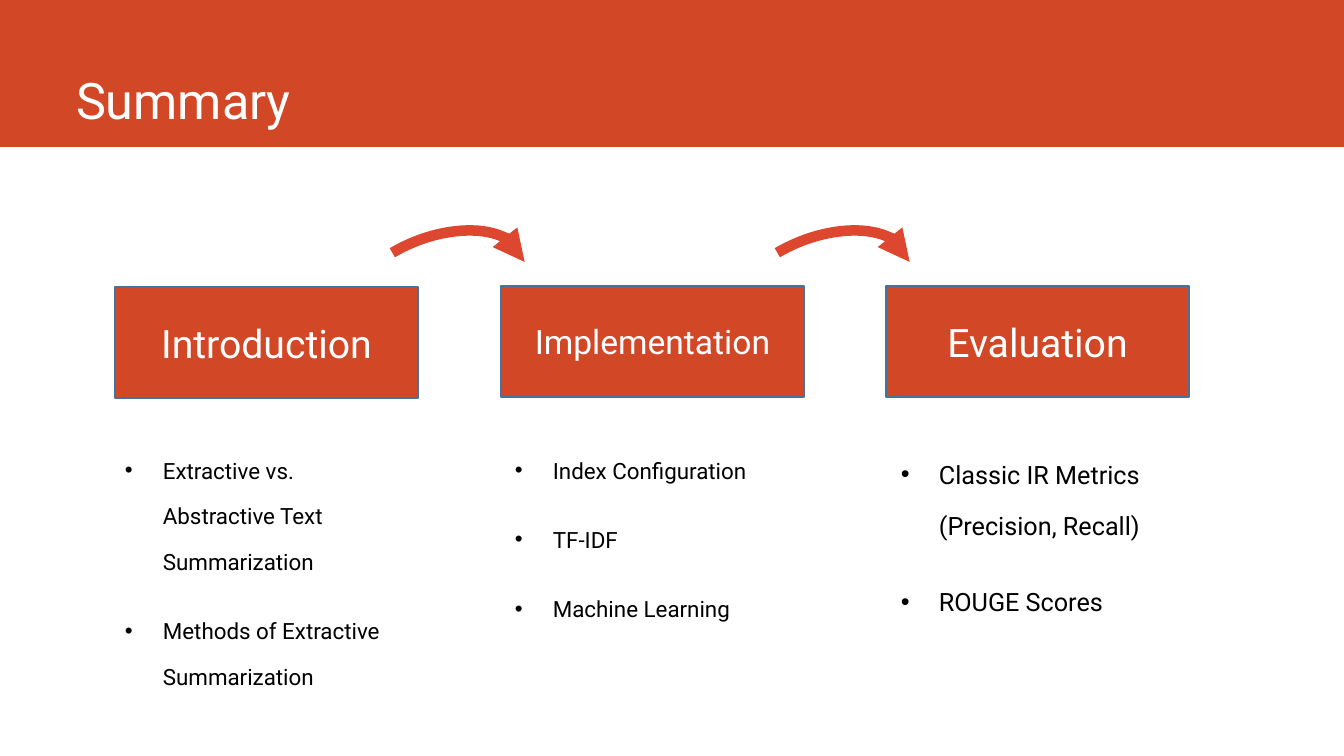
from dataclasses import dataclass

from lxml import etree
from pptx import Presentation
from pptx import util as u
from pptx.dml.color import RGBColor
from pptx.enum import shapes, text
from pptx.oxml.ns import qn

SCALE = u.Inches(1) / 100.8


@dataclass(frozen=True)
class Theme:
    font: str = "Roboto"
    red: str = "D24726"
    arrow: str = "DD462F"
    outline: str = "43739E"
    light: str = "FFFFFF"
    dark: str = "000000"
    title: int = 36
    step: int = 28
    step_small: int = 24
    bullet: int = 16
    bullet_large: int = 18


THEME = Theme()

STEPS = [
    (115, 115, 287, THEME.step, "Introduction", THEME.bullet,
     ["Extractive vs. Abstractive Text Summarization",
      "Methods of Extractive Summarization"]),
    (501, 505, 286, THEME.step_small, "Implementation", THEME.bullet,
     ["Index Configuration", "TF-IDF", "Machine Learning"]),
    (886, 891, 286, THEME.step, "Evaluation", THEME.bullet_large,
     ["Classic IR Metrics (Precision, Recall)", "ROUGE Scores"]),
]
ARROW_LEFTS = [339, 724]


def px(*values):
    return [u.Emu(round(value * SCALE)) for value in values]


def colour(value):
    return RGBColor.from_string(value)


def add_run(paragraph, content, size, value):
    run = paragraph.add_run()
    run.text = content
    run.font.name = THEME.font
    run.font.size = u.Pt(size)
    run.font.color.rgb = colour(value)


def add_box(slide, *box, outline=None):
    shape = slide.shapes.add_shape(shapes.MSO_SHAPE.RECTANGLE, *px(*box))
    shape.shadow.inherit = False
    shape.fill.solid()
    shape.fill.fore_color.rgb = colour(THEME.red)
    if outline:
        shape.line.color.rgb = colour(outline)
        shape.line.width = u.Pt(1)
    else:
        shape.line.fill.background()
    return shape


def add_header(slide, content):
    band = add_box(slide, 0, 0, 1344, 147)
    slide.shapes._spTree.insert(2, band._element)
    title = slide.shapes.title
    title.left, title.top, title.width, title.height = px(66, 0, 1185, 135)
    frame = title.text_frame
    frame.word_wrap = True
    frame.auto_size = text.MSO_AUTO_SIZE.NONE
    frame.vertical_anchor = text.MSO_ANCHOR.BOTTOM
    paragraph = frame.paragraphs[0]
    paragraph.alignment = text.PP_ALIGN.LEFT
    paragraph.line_spacing = 0.9
    add_run(paragraph, content, THEME.title, THEME.light)


def add_step(slide, left, top, label, size):
    shape = add_box(slide, left, top, 303, 111, outline=THEME.outline)
    frame = shape.text_frame
    frame.word_wrap = True
    frame.vertical_anchor = text.MSO_ANCHOR.MIDDLE
    paragraph = frame.paragraphs[0]
    paragraph.alignment = text.PP_ALIGN.CENTER
    add_run(paragraph, label, size, THEME.light)


def add_arrow(slide, left):
    arc = slide.shapes.add_shape(shapes.MSO_SHAPE.ARC, *px(left, 238, 191, 108))
    arc.shadow.inherit = False
    arc.adjustments[0] = 147.04
    arc.adjustments[1] = 2.19
    arc.rotation = 337.9
    arc.fill.background()
    arc.line.color.rgb = colour(THEME.arrow)
    arc.line.width = u.Pt(7.5)
    etree.SubElement(arc.line._get_or_add_ln(), qn("a:tailEnd"), type="triangle")


def add_bullets(slide, left, items, size):
    box = slide.shapes.add_textbox(*px(left, 433, 300, 246))
    frame = box.text_frame
    frame.word_wrap = True
    indent = px(38)[0]
    for index, item in enumerate(items):
        paragraph = frame.add_paragraph() if index else frame.paragraphs[0]
        paragraph.line_spacing = 1.7
        paragraph.space_before = u.Pt(size * 0.3)
        paragraph.space_after = u.Pt(12)
        properties = paragraph._p.get_or_add_pPr()
        properties.set("marL", str(indent))
        properties.set("indent", str(-indent))
        etree.SubElement(properties, qn("a:buFont"), typeface="Arial")
        etree.SubElement(properties, qn("a:buChar"), char="•")
        add_run(paragraph, item, size, THEME.dark)


def main():
    presentation = Presentation()
    presentation.slide_width, presentation.slide_height = px(1344, 756)
    slide = presentation.slides.add_slide(presentation.slide_layouts[5])
    add_header(slide, "Summary")
    for left, list_left, top, size, label, bullet_size, items in STEPS:
        add_step(slide, left, top, label, size)
        add_bullets(slide, list_left, items, bullet_size)
    for left in ARROW_LEFTS:
        add_arrow(slide, left)
    presentation.save("out.pptx")


if __name__ == "__main__":
    main()
